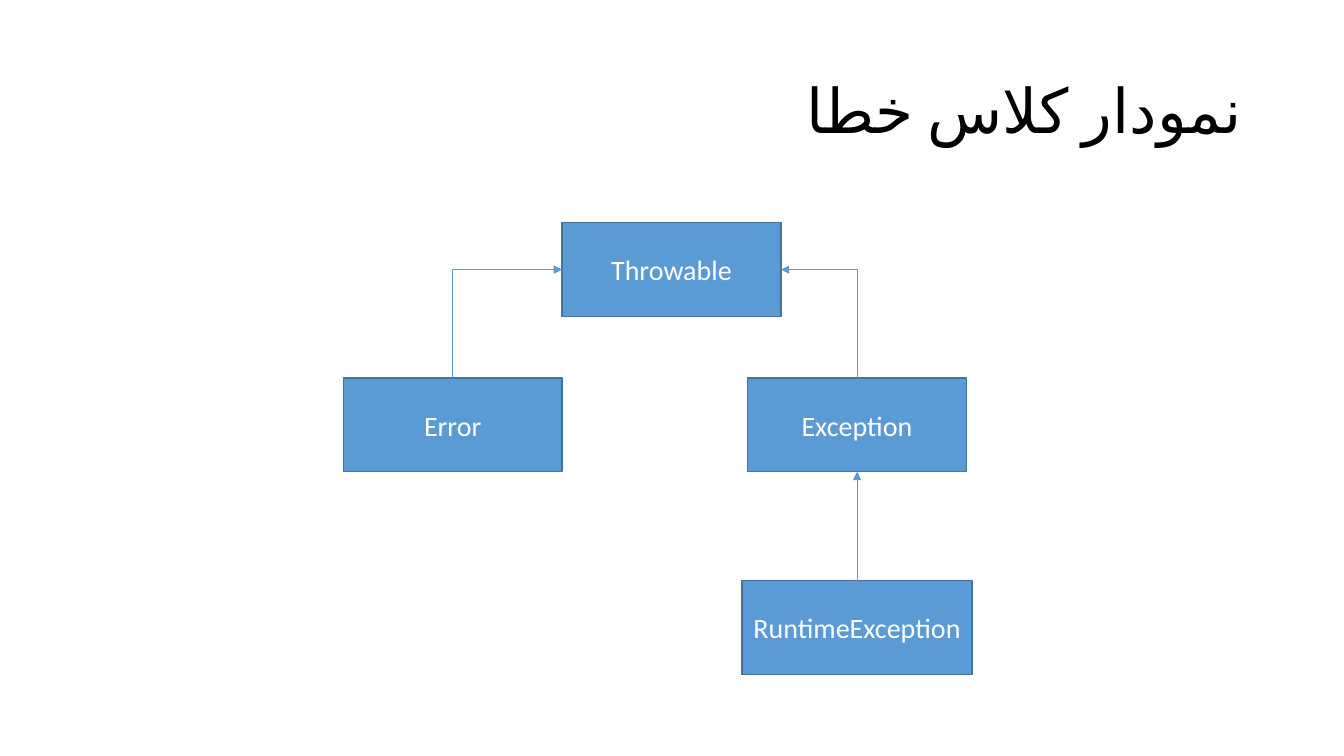
from pptx import Presentation
from pptx.dml.color import RGBColor
from pptx.enum.shapes import MSO_CONNECTOR, MSO_SHAPE
from pptx.enum.text import MSO_ANCHOR, PP_ALIGN
from pptx.oxml.ns import qn
from pptx.util import Inches, Pt
from lxml import etree

RECT = MSO_SHAPE.RECTANGLE
LINE, ELBOW = MSO_CONNECTOR.STRAIGHT, MSO_CONNECTOR.ELBOW
MID = MSO_ANCHOR.MIDDLE
CENTER, RIGHT = PP_ALIGN.CENTER, PP_ALIGN.RIGHT
FONT = "Calibri"
TALL = 0.93


def color(code):
    """Turn a hex string into a colour."""
    return RGBColor.from_string(code)


def write(shape, text, size=20, ink="FFFFFF", align=CENTER, space=None):
    """Put one right-to-left line of text in a shape."""
    frame = shape.text_frame
    frame.word_wrap = True
    frame.vertical_anchor = MID
    para = frame.paragraphs[0]
    para.alignment = align
    para.line_spacing = space
    run = para.add_run()
    run.text = text
    run.font.size = Pt(size)
    run.font.name = FONT
    run.font.color.rgb = color(ink)
    para._p.get_or_add_pPr().set("rtl", "1")
    props = run._r.get_or_add_rPr()
    props.set("lang", "fa-IR")
    etree.SubElement(props, qn("a:cs")).set("typeface", FONT)


class Chart:
    """A class diagram on one slide."""

    fill, edge = "5B9BD5", "43739E"

    def __init__(self, deck):
        """Add a title-only slide to the deck."""
        self.slide = deck.slides.add_slide(deck.slide_layouts[5])

    def title(self, text):
        """Place and fill the title."""
        head = self.slide.shapes.title
        head.left, head.top = Inches(0.92), Inches(0.4)
        head.width, head.height = Inches(11.5), Inches(1.45)
        write(head, text, size=44, ink="000000", align=RIGHT, space=0.9)

    def box(self, text, mid, top, wide=2.17):
        """Draw a class box and return its centre, top and half width."""
        shape = self.slide.shapes.add_shape(
            RECT, Inches(mid - wide / 2), Inches(top), Inches(wide), Inches(TALL))
        shape.shadow.inherit = False
        shape.fill.solid()
        shape.fill.fore_color.rgb = color(self.fill)
        shape.line.color.rgb = color(self.edge)
        shape.line.width = Pt(1)
        write(shape, text)
        return mid, top, wide / 2

    def link(self, kind, start, end):
        """Draw a thin connector with an arrowhead at its end."""
        line = self.slide.shapes.add_connector(
            kind, *(Inches(value) for value in (*start, *end)))
        line.line.color.rgb = color(self.fill)
        line.line.width = Pt(0.5)
        props = line.element.spPr
        tail = etree.SubElement(props.find(qn("a:ln")), qn("a:tailEnd"))
        tail.set("type", "triangle")
        etree.SubElement(props, qn("a:effectLst"))
        return props

    def rise(self, child, parent):
        """Point straight up from a child to its parent."""
        self.link(LINE, child[:2], (parent[0], parent[1] + TALL))

    def bend(self, child, parent):
        """Point up from a child, then sideways to its parent."""
        x, y, _ = child
        mid, top, half = parent
        side = mid - half if x < mid else mid + half
        level = top + TALL / 2
        run, climb = (side - x) / 2, (y - level) / 2
        cx, cy = x + run, level + climb
        props = self.link(ELBOW, (cx - climb, cy - run), (cx + climb, cy + run))
        props.find(qn("a:xfrm")).set("rot", str(270 * 60000))
        props.find(qn("a:prstGeom")).set("prst", "bentConnector2")


def main():
    """Build and save the slide."""
    deck = Presentation()
    deck.slide_width, deck.slide_height = Inches(13.33), Inches(7.5)
    chart = Chart(deck)
    chart.title("نمودار کلاس خطا")
    root = chart.box("Throwable", 6.66, 2.21)
    error = chart.box("Error", 4.49, 3.75)
    fault = chart.box("Exception", 8.5, 3.75)
    late = chart.box("RuntimeException", 8.5, 5.76, wide=2.28)
    for child in (error, fault):
        chart.bend(child, root)
    chart.rise(late, fault)
    deck.save("out.pptx")


if __name__ == "__main__":
    main()
